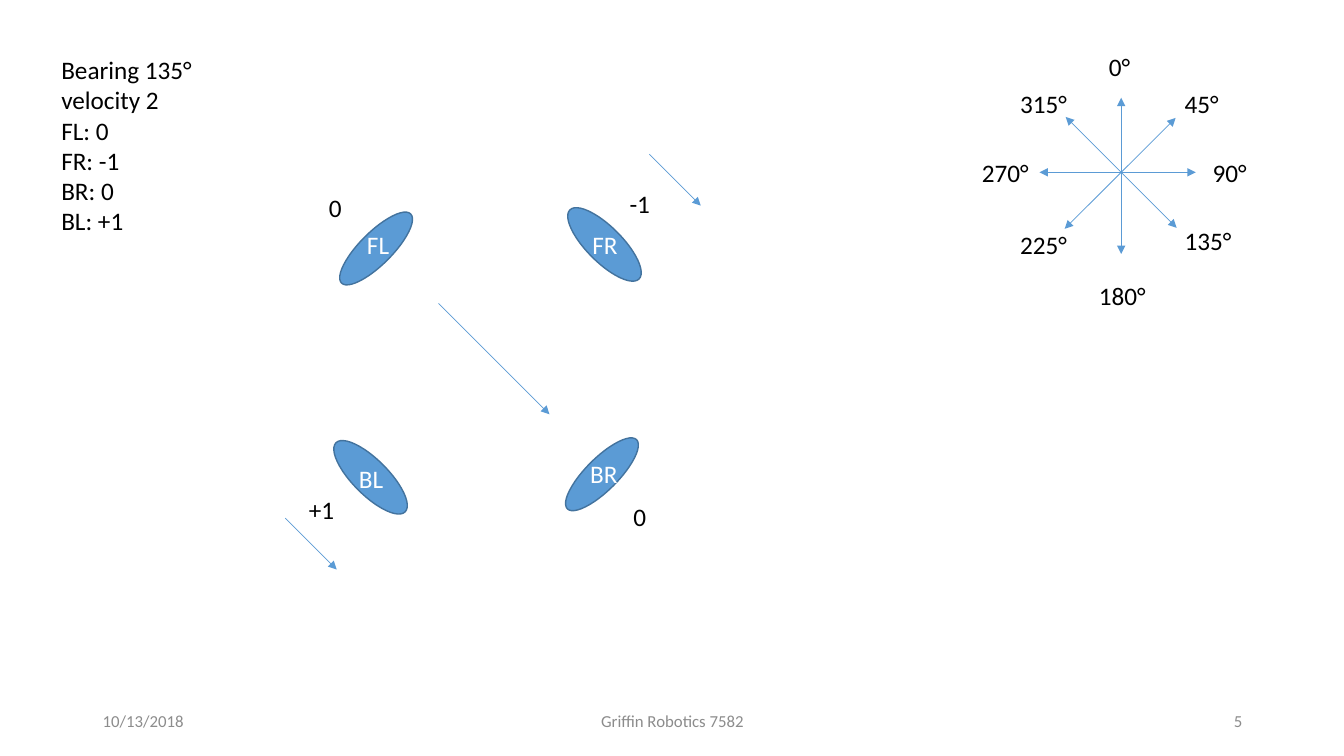
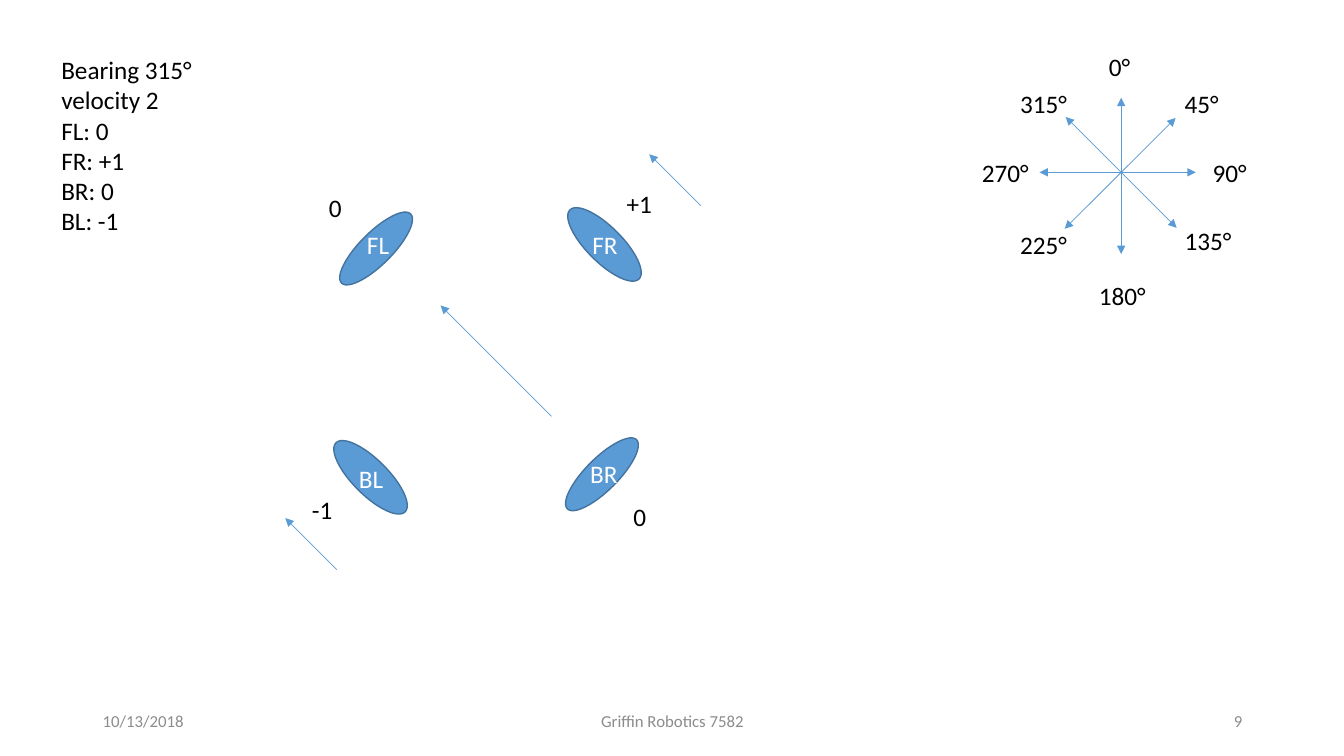
from dataclasses import dataclass

from lxml.etree import SubElement
from pptx import Presentation
from pptx.dml.color import RGBColor as Rgb
from pptx.enum.shapes import MSO_CONNECTOR as Connector, MSO_SHAPE as Preset
from pptx.enum.text import MSO_ANCHOR as Anchor, MSO_AUTO_SIZE as AutoSize, PP_ALIGN as Align
from pptx.oxml.ns import qn
from pptx.util import Emu, Pt

SCALE = 9144


@dataclass(frozen=True)
class Theme:
    """Colours, font, type sizes and line widths."""
    font: str = "Calibri"
    ink: str = "000000"
    muted: str = "8C8C8C"
    light: str = "FFFFFF"
    accent: str = "5B9BD5"
    outline: str = "43739E"
    body: int = 18
    small: int = 12
    arrow: float = 0.5
    rim: int = 1


BEARING_WIDTHS = {2: 42, 3: 54, 4: 67}
BEARINGS = [
    ("0°", 1090, 46), ("45°", 1165, 83), ("90°", 1193, 151), ("135°", 1165, 219),
    ("180°", 1080, 273), ("225°", 1002, 223), ("270°", 964, 151), ("315°", 1002, 83),
]
COMPASS_AXES = [
    ((1112, 252), (1112, 97)), ((1186, 171), (1031, 171)),
    ((1056, 227), (1166, 117)), ((1057, 116), (1167, 226)),
]
WHEELS = {
    "FL": ((357, 198, 32, 97), (347, 223)),
    "FR": ((551, 225, 97, 35), (572, 223)),
    "BR": ((581, 422, 32, 97), (571, 450)),
    "BL": ((319, 456, 97, 35), (340, 455)),
}
SPEED_WIDTHS = {"0": 33, "-1": 41, "+1": 46}
SPEED_SPOTS = {"FL": (332, 186), "FR": (634, 182), "BR": (634, 492), "BL": (319, 486)}
WHEEL_MOTIONS = [((283, 514), (334, 565)), ((644, 153), (695, 204))]
MOVES = [
    {"number": "5", "bearing": "135°", "reverse": False, "travel": ((435, 301), (545, 411)),
     "speeds": {"FL": "0", "FR": "-1", "BR": "0", "BL": "+1"}},
    {"number": "9", "bearing": "315°", "reverse": True, "travel": ((547, 413), (437, 303)),
     "speeds": {"FL": "0", "FR": "+1", "BR": "0", "BL": "-1"}},
]


def px(*lengths):
    """Turn px lengths into EMU."""
    return [Emu(length * SCALE) for length in lengths]


class Deck:
    """Holds the theme, the presentation and the current slide."""

    def __init__(self, theme):
        """Start an empty widescreen presentation."""
        self.theme = theme
        self.prs = Presentation()
        self.prs.slide_width, self.prs.slide_height = px(1333, 750)
        self.slide = None

    def new_slide(self):
        """Add a blank slide and make it current."""
        self.slide = self.prs.slides.add_slide(self.prs.slide_layouts[6])

    def text(self, box, lines, color, size, align=Align.LEFT, wrap=True, grow=True, parent=None):
        """Place lines of text, one paragraph each."""
        frame = (parent or self.slide).shapes.add_textbox(*px(*box)).text_frame
        frame.word_wrap = wrap
        frame.auto_size = AutoSize.SHAPE_TO_FIT_TEXT if grow else AutoSize.NONE
        frame.vertical_anchor = Anchor.TOP if grow else Anchor.MIDDLE
        for index, line in enumerate(lines):
            paragraph = frame.add_paragraph() if index else frame.paragraphs[0]
            paragraph.alignment = align
            run = paragraph.add_run()
            run.text = line
            run.font.name = self.theme.font
            run.font.size = Pt(size)
            run.font.color.rgb = Rgb.from_string(color)

    def label(self, left, top, width, caption, align=Align.LEFT):
        """Place a one-line label that does not wrap."""
        self.text((left, top, width, 40), [caption], self.theme.ink, self.theme.body, align, wrap=False)

    def arrow(self, start, end, both=False):
        """Draw a thin arrow, with heads at both ends if asked."""
        connector = self.slide.shapes.add_connector(Connector.STRAIGHT, *px(*start, *end))
        connector.line.color.rgb = Rgb.from_string(self.theme.accent)
        connector.line.width = Pt(self.theme.arrow)
        properties = connector._element.spPr
        outline = properties.find(qn("a:ln"))
        for tag in ("a:headEnd", "a:tailEnd") if both else ("a:tailEnd",):
            SubElement(outline, qn(tag), type="triangle")
        SubElement(properties, qn("a:effectLst"))

    def wheel(self, name, box, label_spot):
        """Draw a tilted wheel grouped with its upright name."""
        group = self.slide.shapes.add_group_shape()
        tyre = group.shapes.add_shape(Preset.OVAL, *px(*box))
        tyre.rotation = 45
        tyre.shadow.inherit = False
        tyre.fill.solid()
        tyre.fill.fore_color.rgb = Rgb.from_string(self.theme.accent)
        tyre.line.color.rgb = Rgb.from_string(self.theme.outline)
        tyre.line.width = Pt(self.theme.rim)
        self.text((*label_spot, 56, 40), [name], self.theme.light, self.theme.body,
                  Align.CENTER, parent=group)

    def compass(self):
        """Draw the bearing rose."""
        for start, end in COMPASS_AXES:
            self.arrow(start, end, both=True)
        for bearing, left, top in BEARINGS:
            self.label(left, top, BEARING_WIDTHS[len(bearing)], bearing)

    def footer(self, number):
        """Place date, team and slide number."""
        for left, width, caption, align in (
            (92, 300, "10/13/2018", Align.LEFT),
            (442, 450, "Griffin Robotics 7582", Align.CENTER),
            (942, 300, number, Align.RIGHT),
        ):
            self.text((left, 695, width, 40), [caption], self.theme.muted, self.theme.small,
                      align, grow=False)

    def move(self, number, bearing, reverse, travel, speeds):
        """Build the slide of one robot move."""
        self.new_slide()
        settings = [f"{wheel}: {speed}" for wheel, speed in speeds.items()]
        self.text((51, 49, 246, 192), [f"Bearing {bearing}", "velocity 2", *settings],
                  self.theme.ink, self.theme.body)
        self.compass()
        for wheel, speed in speeds.items():
            center, top = SPEED_SPOTS[wheel]
            width = SPEED_WIDTHS[speed]
            self.label(center - width // 2, top, width, speed, Align.CENTER)
        self.arrow(*travel)
        for motion in WHEEL_MOTIONS:
            self.arrow(*(reversed(motion) if reverse else motion))
        for name, (box, label_spot) in WHEELS.items():
            self.wheel(name, box, label_spot)
        self.footer(number)


def main():
    """Build and save the moves."""
    deck = Deck(Theme())
    for move in MOVES:
        deck.move(**move)
    deck.prs.save("out.pptx")


if __name__ == "__main__":
    main()
